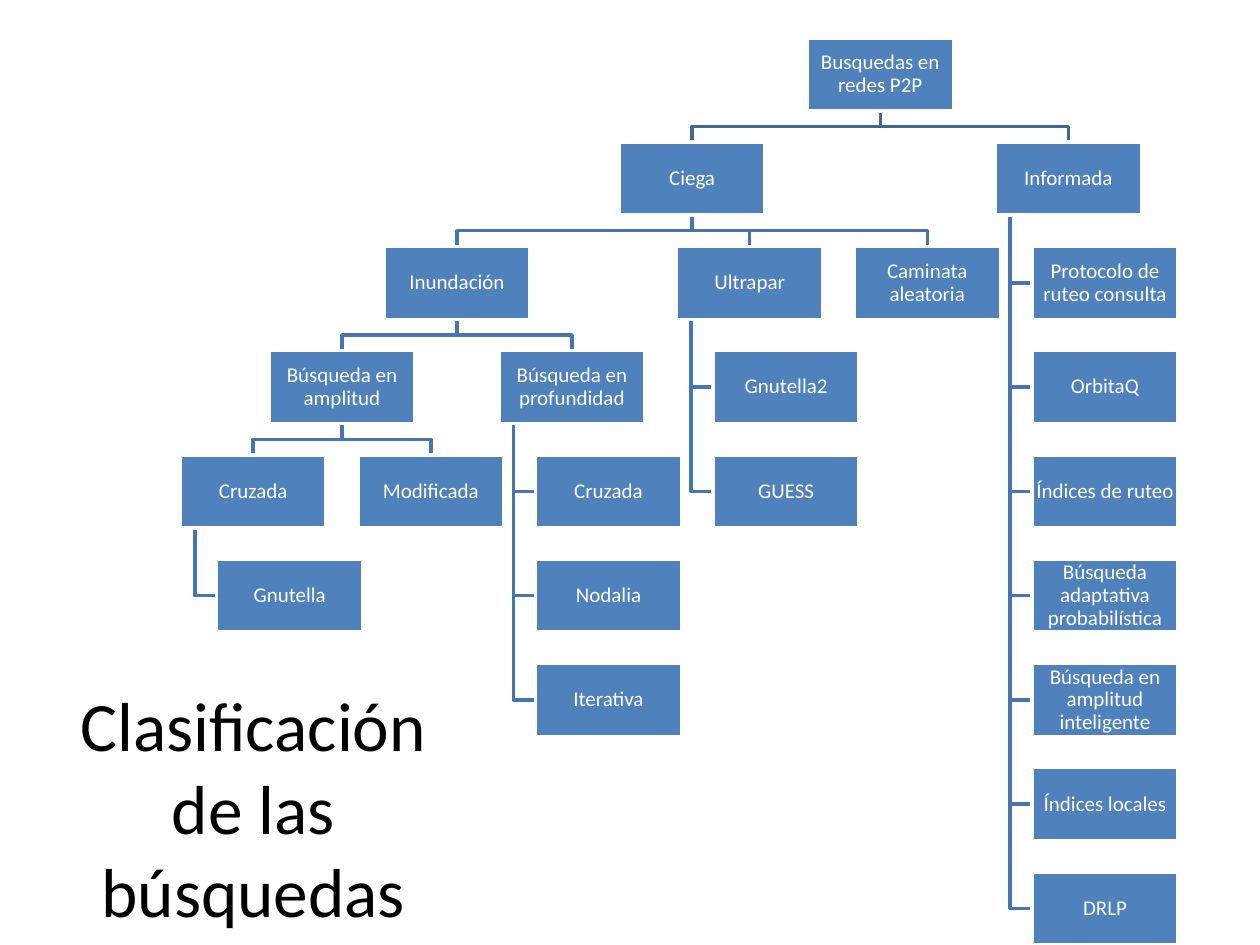
from dataclasses import dataclass

from pptx import Presentation
from pptx.dml.color import RGBColor
from pptx.enum import shapes, text
from pptx.util import Inches, Pt

BLUE = RGBColor(0x4F, 0x81, 0xBD)
ROOT_LINK = RGBColor(0x3F, 0x67, 0x97)
LINK = RGBColor(0x48, 0x75, 0xAC)
WHITE = RGBColor(0xFF, 0xFF, 0xFF)
BLACK = RGBColor(0, 0, 0)

BOX_WIDTH, BOX_HEIGHT = 1.16, 0.58
FIRST_TOP, LAST_TOP, LAST_LEVEL = 0.3, 6.92, 8
LEVEL_STEP = (LAST_TOP - FIRST_TOP) / LAST_LEVEL
INDENT = 0.29
STEM_INSET = BOX_WIDTH / 10


@dataclass
class Topic:
    label: str
    left: float = 0
    branches: tuple = ()
    hanging: tuple = ()
    level: int = 0

    @property
    def top(self):
        return FIRST_TOP + self.level * LEVEL_STEP

    @property
    def bottom(self):
        return self.top + BOX_HEIGHT

    @property
    def center(self):
        return self.left + BOX_WIDTH / 2

    @property
    def middle(self):
        return self.top + BOX_HEIGHT / 2


SEARCHES = Topic("Busquedas en redes P2P", branches=(
    Topic("Ciega", branches=(
        Topic("Inundación", branches=(
            Topic("Búsqueda en amplitud", branches=(
                Topic("Cruzada", 1.43, hanging=("Gnutella",)),
                Topic("Modificada", 2.84))),
            Topic("Búsqueda en profundidad", 3.96,
                  hanging=("Cruzada", "Nodalia", "Iterativa")))),
        Topic("Ultrapar", 5.37, hanging=("Gnutella2", "GUESS")),
        Topic("Caminata aleatoria", 6.78))),
    Topic("Informada", 7.9, hanging=(
        "Protocolo de ruteo consulta", "OrbitaQ", "Índices de ruteo",
        "Búsqueda adaptativa probabilística",
        "Búsqueda en amplitud inteligente", "Índices locales", "DRLP"))))


def place(topic, level=0):
    topic.level = level
    for branch in topic.branches:
        place(branch, level + 1)
    if topic.branches:
        topic.left = (topic.branches[0].left + topic.branches[-1].left) / 2
    topic.hanging = tuple(
        Topic(label, topic.left + INDENT, level=level + row)
        for row, label in enumerate(topic.hanging, 1))


def write(shape, content, size, color, inset=0.1, spacing=1.0):
    frame = shape.text_frame
    frame.text = content
    frame.word_wrap = True
    frame.auto_size = text.MSO_AUTO_SIZE.NONE
    frame.vertical_anchor = text.MSO_ANCHOR.MIDDLE
    frame.margin_left = frame.margin_right = Inches(inset)
    frame.margin_top = frame.margin_bottom = Inches(min(inset, 0.05))
    paragraph = frame.paragraphs[0]
    paragraph.alignment = text.PP_ALIGN.CENTER
    paragraph.line_spacing = spacing
    font = paragraph.runs[0].font
    font.name = "Calibri"
    font.size = Pt(size)
    font.color.rgb = color


def draw_link(slide, points, color):
    start, *rest = [(Inches(x), Inches(y)) for x, y in points]
    builder = slide.shapes.build_freeform(*start)
    builder.add_line_segments(rest, close=False)
    link = builder.convert_to_shape()
    link.shadow.inherit = False
    link.fill.background()
    link.line.color.rgb = color
    link.line.width = Pt(2)


def draw_links(slide, topic):
    color = LINK if topic.level else ROOT_LINK
    for branch in topic.branches:
        bend = (topic.bottom + branch.top) / 2
        draw_link(slide, [(topic.center, topic.bottom), (topic.center, bend),
                          (branch.center, bend), (branch.center, branch.top)], color)
        draw_links(slide, branch)
    stem = topic.left + STEM_INSET
    for item in topic.hanging:
        draw_link(slide, [(stem, topic.bottom), (stem, item.middle),
                          (item.left, item.middle)], color)


def draw_boxes(slide, topic):
    box = slide.shapes.add_shape(
        shapes.MSO_SHAPE.RECTANGLE, Inches(topic.left), Inches(topic.top),
        Inches(BOX_WIDTH), Inches(BOX_HEIGHT))
    box.shadow.inherit = False
    box.fill.solid()
    box.fill.fore_color.rgb = BLUE
    box.line.color.rgb = WHITE
    box.line.width = Pt(2)
    write(box, topic.label, size=12, color=WHITE, inset=0.01, spacing=0.9)
    for child in topic.branches + topic.hanging:
        draw_boxes(slide, child)


def add_title(slide, content):
    title = slide.shapes.title
    title.left, title.top = Inches(0.31), Inches(5.31)
    title.width, title.height = Inches(3.4), Inches(2.19)
    write(title, content, size=39.6, color=BLACK)


def main():
    deck = Presentation()
    deck.slide_width, deck.slide_height = Inches(10), Inches(7.5)
    slide = deck.slides.add_slide(deck.slide_layouts[5])
    add_title(slide, "Clasificación de las búsquedas")
    place(SEARCHES)
    draw_links(slide, SEARCHES)
    draw_boxes(slide, SEARCHES)
    deck.save("out.pptx")


if __name__ == "__main__":
    main()
